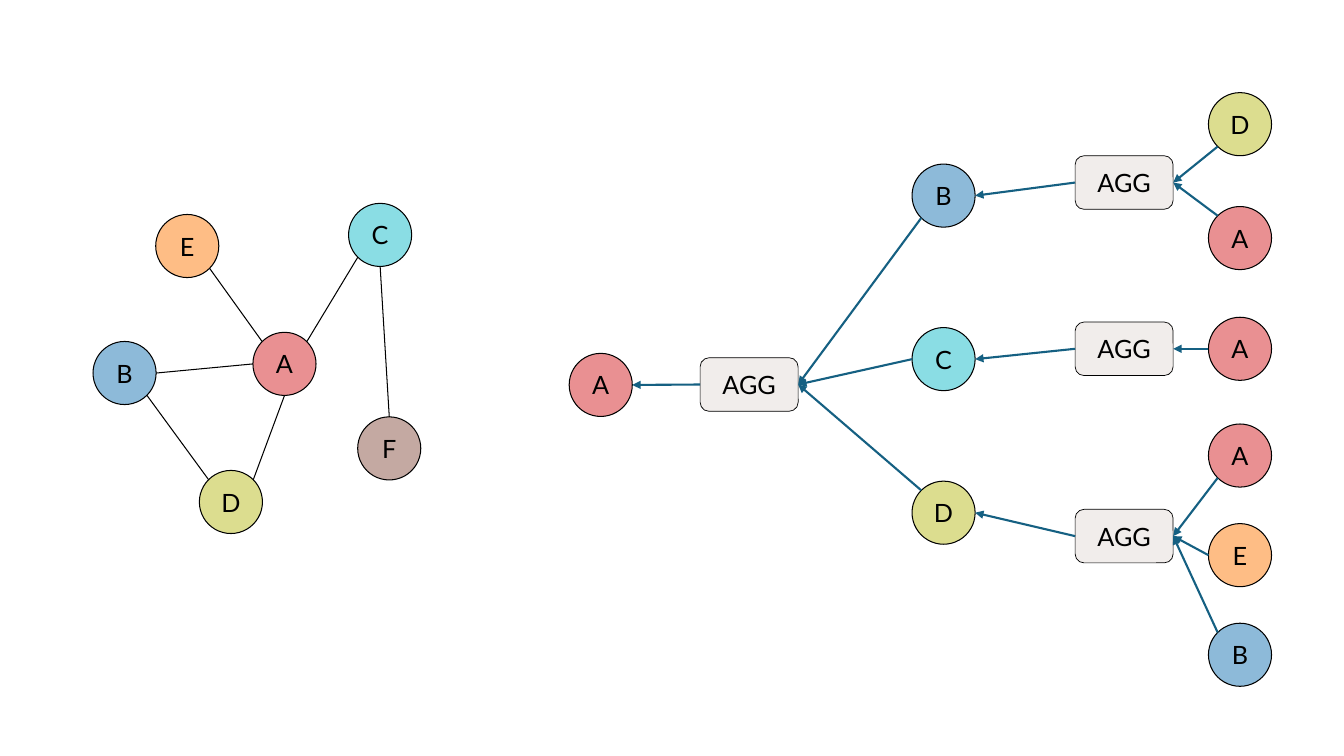
from lxml import etree
from pptx import Presentation
from pptx.dml.color import RGBColor
from pptx.enum.shapes import MSO_CONNECTOR, MSO_SHAPE
from pptx.enum.text import MSO_ANCHOR, PP_ALIGN
from pptx.oxml.ns import qn
from pptx.util import Cm, Pt

CIRCLE, ROUNDED = MSO_SHAPE.OVAL, MSO_SHAPE.ROUNDED_RECTANGLE
STRAIGHT = MSO_CONNECTOR.STRAIGHT
MIDDLE, CENTER = MSO_ANCHOR.MIDDLE, PP_ALIGN.CENTER

FILLS = {"A": "E99092", "B": "8DBAD9", "C": "8ADDE4", "D": "DCDD8F",
         "E": "FEBD85", "F": "C4A9A2", "AGG": "F1EDEB"}
BLACK, ARROW = "000000", "156082"
DIAGONAL = 0.71
SIDES = {"left": (-1, 0), "right": (1, 0), "top": (0, -1), "bottom": (0, 1),
         "top left": (-DIAGONAL, -DIAGONAL), "top right": (DIAGONAL, -DIAGONAL),
         "bottom left": (-DIAGONAL, DIAGONAL), "bottom right": (DIAGONAL, DIAGONAL)}


def add_node(group, label, x, y):
    """Draw a labelled circle, or an AGG box, centred on x, y in cm."""
    is_box = label == "AGG"
    kind, width, height, weight = (ROUNDED, 2.47, 1.35, 0.5) if is_box else (CIRCLE, 1.59, 1.59, 0.75)
    node = group.shapes.add_shape(kind, Cm(x - width / 2), Cm(y - height / 2), Cm(width), Cm(height))
    node.shadow.inherit = False
    node.fill.solid()
    node.fill.fore_color.rgb = RGBColor.from_string(FILLS[label])
    node.line.color.rgb = RGBColor.from_string(BLACK)
    node.line.width = Pt(weight)
    frame = node.text_frame
    frame.text = label
    frame.vertical_anchor = MIDDLE
    frame.margin_left = frame.margin_right = 0
    para = frame.paragraphs[0]
    para.alignment = CENTER
    font = para.runs[0].font
    font.name, font.size = "Lato", Pt(18)
    font.color.rgb = RGBColor.from_string(BLACK)
    return node


def add_edge(group, start, start_side, end, end_side, arrow=False):
    """Join two nodes at the named sides of their outlines."""
    points = []
    for node, side in ((start, start_side), (end, end_side)):
        across, down = SIDES[side]
        points += [int(node.left + node.width * (1 + across) / 2),
                   int(node.top + node.height * (1 + down) / 2)]
    edge = group.shapes.add_connector(STRAIGHT, *points)
    edge.line.color.rgb = RGBColor.from_string(ARROW if arrow else BLACK)
    edge.line.width = Pt(1.5 if arrow else 0.75)
    if arrow:
        etree.SubElement(edge.line._get_or_add_ln(), qn("a:tailEnd"), type="triangle")
    etree.SubElement(edge._element.spPr, qn("a:effectLst"))


deck = Presentation()
deck.slide_width, deck.slide_height = Cm(33.87), Cm(19.05)
page = deck.slides.add_slide(deck.slide_layouts[6])

# Input graph
graph = page.shapes.add_group_shape()
centres = {"E": (4.72, 6.2), "B": (3.14, 9.4), "A": (7.17, 9.17),
           "C": (9.58, 5.92), "D": (5.82, 12.65), "F": (9.81, 11.3)}
nodes = {label: add_node(graph, label, x, y) for label, (x, y) in centres.items()}
for start, start_side, end, end_side in [
    ("E", "bottom right", "A", "top left"),
    ("C", "bottom left", "A", "top right"),
    ("B", "right", "A", "left"),
    ("B", "bottom right", "D", "top left"),
    ("A", "bottom", "D", "top right"),
    ("F", "top", "C", "bottom"),
]:
    add_edge(graph, nodes[start], start_side, nodes[end], end_side)

# Computation tree, flowing from the neighbours on the right to node A
tree = page.shapes.add_group_shape()
target = add_node(tree, "A", 15.14, 9.7)
final_box = add_node(tree, "AGG", 18.88, 9.69)
add_edge(tree, final_box, "left", target, "right", arrow=True)

# neighbour, its height and exit side, box height, then its own neighbours
branches = [
    ("B", 4.93, "bottom left", 4.6, [("D", 3.13, "bottom left"), ("A", 6, "top left")]),
    ("C", 9.05, "left", 8.79, [("A", 8.79, "left")]),
    ("D", 12.92, "top left", 13.51, [("A", 11.48, "bottom left"), ("E", 13.99, "left"),
                                     ("B", 16.5, "top left")]),
]
for label, y, side, box_y, leaves in branches:
    neighbour = add_node(tree, label, 23.78, y)
    box = add_node(tree, "AGG", 28.33, box_y)
    add_edge(tree, neighbour, side, final_box, "right", arrow=True)
    add_edge(tree, box, "left", neighbour, "right", arrow=True)
    for leaf_label, leaf_y, leaf_side in leaves:
        leaf = add_node(tree, leaf_label, 31.25, leaf_y)
        add_edge(tree, leaf, leaf_side, box, "right", arrow=True)

deck.save("out.pptx")
